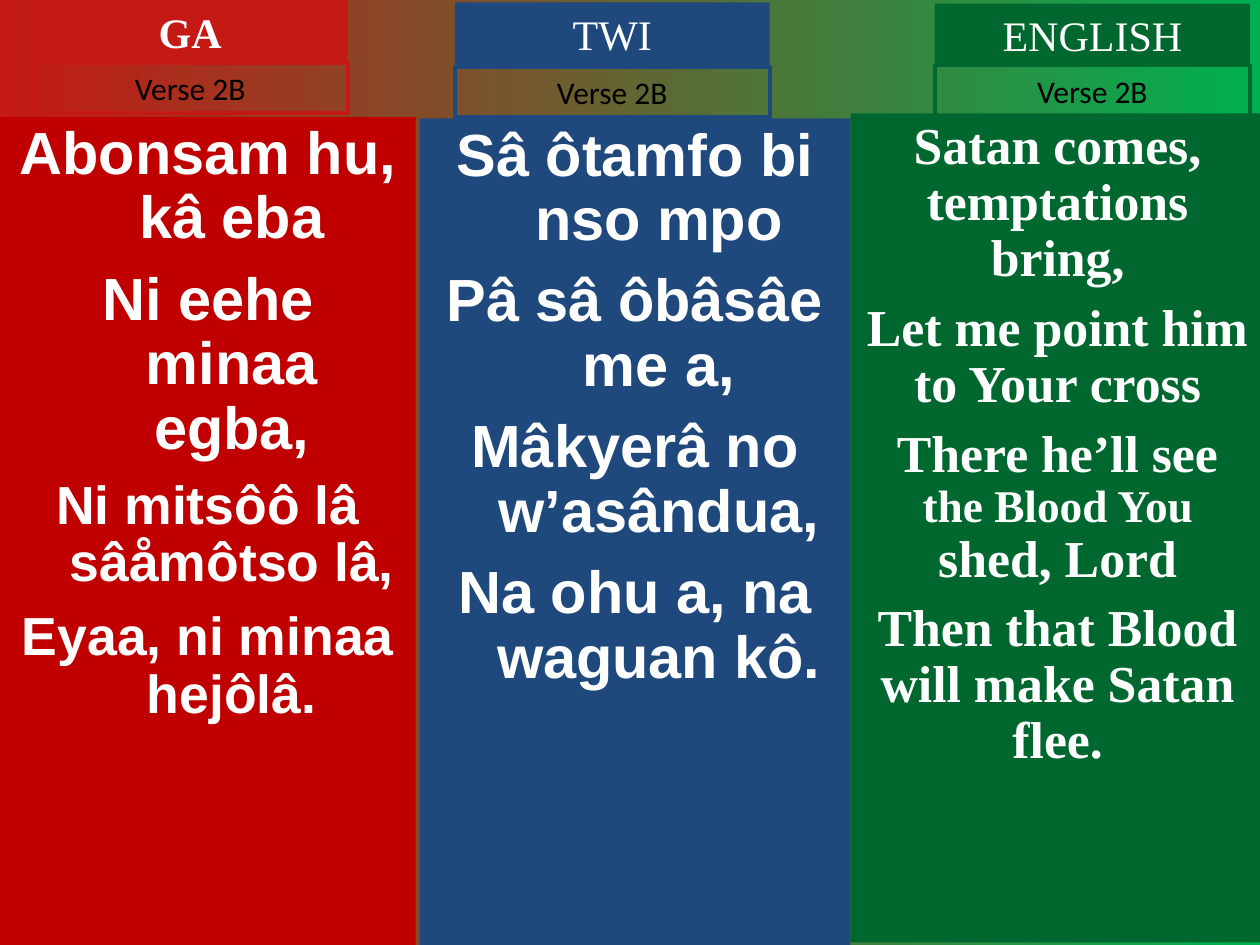
from pptx import Presentation
from pptx.dml.color import RGBColor
from pptx.enum.shapes import MSO_SHAPE
from pptx.enum.text import MSO_ANCHOR, PP_ALIGN
from pptx.util import Inches, Pt

RECT = MSO_SHAPE.RECTANGLE
TOP = MSO_ANCHOR.TOP
CENTER = PP_ALIGN.CENTER
WHITE, BLACK = "FFFFFF", "000000"
RED, BLUE, GREEN = "C51915", "1F497D", "00682F"
SERIF = "Times New Roman"
BLANK_LAYOUT = 6


def color(hex_value):
    return RGBColor.from_string(hex_value)


class LyricSlide:
    label_width = 2.5
    title_height = 0.5
    verse_height = 0.4
    hanging = 0.38

    def __init__(self, prs):
        self.slide = prs.slides.add_slide(prs.slide_layouts[BLANK_LAYOUT])

    def background(self, start, end):
        fill = self.slide.background.fill
        fill.gradient()
        fill.gradient_angle = 0
        for stop, position, hex_value in zip(fill.gradient_stops, (0, 1), (start, end)):
            stop.position = position
            stop.color.rgb = color(hex_value)

    def box(self, bounds, fill=None, line=None):
        shape = self.slide.shapes.add_shape(RECT, *map(Inches, bounds))
        shape.shadow.inherit = False
        if fill:
            shape.fill.solid()
            shape.fill.fore_color.rgb = color(fill)
        else:
            shape.fill.background()
        if line:
            shape.line.color.rgb = color(line)
            shape.line.width = Pt(2.25)
        else:
            shape.line.fill.background()
        frame = shape.text_frame
        frame.word_wrap = True
        frame.vertical_anchor = TOP
        return frame

    def run(self, paragraph, text, hex_value, **font_values):
        run = paragraph.add_run()
        run.text = text
        run.font.color.rgb = color(hex_value)
        for name, value in font_values.items():
            setattr(run.font, name, value)

    def label(self, bounds, text, hex_value, fill=None, line=None, **font_values):
        paragraph = self.box(bounds, fill, line).paragraphs[0]
        paragraph.alignment = CENTER
        self.run(paragraph, text, hex_value, **font_values)

    def heading(self, left, title_top, verse_top, language, fill, bold):
        self.label((left, title_top, self.label_width, self.title_height), language,
                   WHITE, fill=fill, name=SERIF, size=Pt(24), bold=bold)
        self.label((left, verse_top, self.label_width, self.verse_height), "Verse 2B",
                   BLACK, line=fill, name="Calibri", size=Pt(18))

    def lyrics(self, bounds, fill, font, lines, hanging):
        """Each line is (space before, [(text, size), ...])."""
        frame = self.box(bounds, fill)
        for index, (space, parts) in enumerate(lines):
            paragraph = frame.add_paragraph() if index else frame.paragraphs[0]
            paragraph_format = {"alignment": CENTER, "line_spacing": 0.9,
                                "space_before": Pt(space if index else 0)}
            for name, value in paragraph_format.items():
                setattr(paragraph, name, value)
            if hanging:
                properties = paragraph._p.get_or_add_pPr()
                properties.set("marL", str(Inches(self.hanging)))
                properties.set("indent", str(-Inches(self.hanging)))
            for text, size in parts:
                self.run(paragraph, text, WHITE, name=font, size=Pt(size), bold=True)


def main():
    prs = Presentation()
    prs.slide_width, prs.slide_height = Inches(10), Inches(7.5)
    page = LyricSlide(prs)
    page.background(RED, "00B050")

    # Lyrics in three languages
    page.lyrics((0, 0.93, 3.3, 6.57), "C00000", "Arial", [
        (10, [("Abonsam hu, kâ eba", 34)]),
        (10, [("Ni eehe minaa egba,", 34)]),
        (9, [("Ni mitsôô lâ sâåmôtso lâ,", 30.6)]),
        (9, [("Eyaa, ni minaa hejôlâ.", 30.6)]),
    ], hanging=True)
    page.lyrics((3.33, 0.94, 3.42, 6.56), BLUE, "Arial", [
        (10, [("Sâ ôtamfo bi nso mpo", 34)]),
        (10, [("Pâ sâ ôbâsâe me a,", 34)]),
        (10, [("Mâkyerâ no w’asândua,", 34)]),
        (10, [("Na ohu a, na waguan kô.", 34)]),
    ], hanging=True)
    page.lyrics((6.75, 0.9, 3.29, 6.58), GREEN, SERIF, [
        (8, [("Satan comes, temptations bring,", 29.6)]),
        (8, [("Let me point him to Your cross", 29.6)]),
        (8, [("There he’ll see ", 29.6), ("the Blood You ", 25.9), ("shed, Lord", 29.6)]),
        (8, [("Then that Blood will make Satan flee.", 29.6)]),
    ], hanging=False)

    # Language headings with the verse number below
    page.heading(0.26, 0, 0.5, "GA", RED, bold=True)
    page.heading(3.61, 0.02, 0.53, "TWI", BLUE, bold=False)
    page.heading(7.42, 0.03, 0.52, "ENGLISH", GREEN, bold=False)

    prs.save("out.pptx")


if __name__ == "__main__":
    main()
